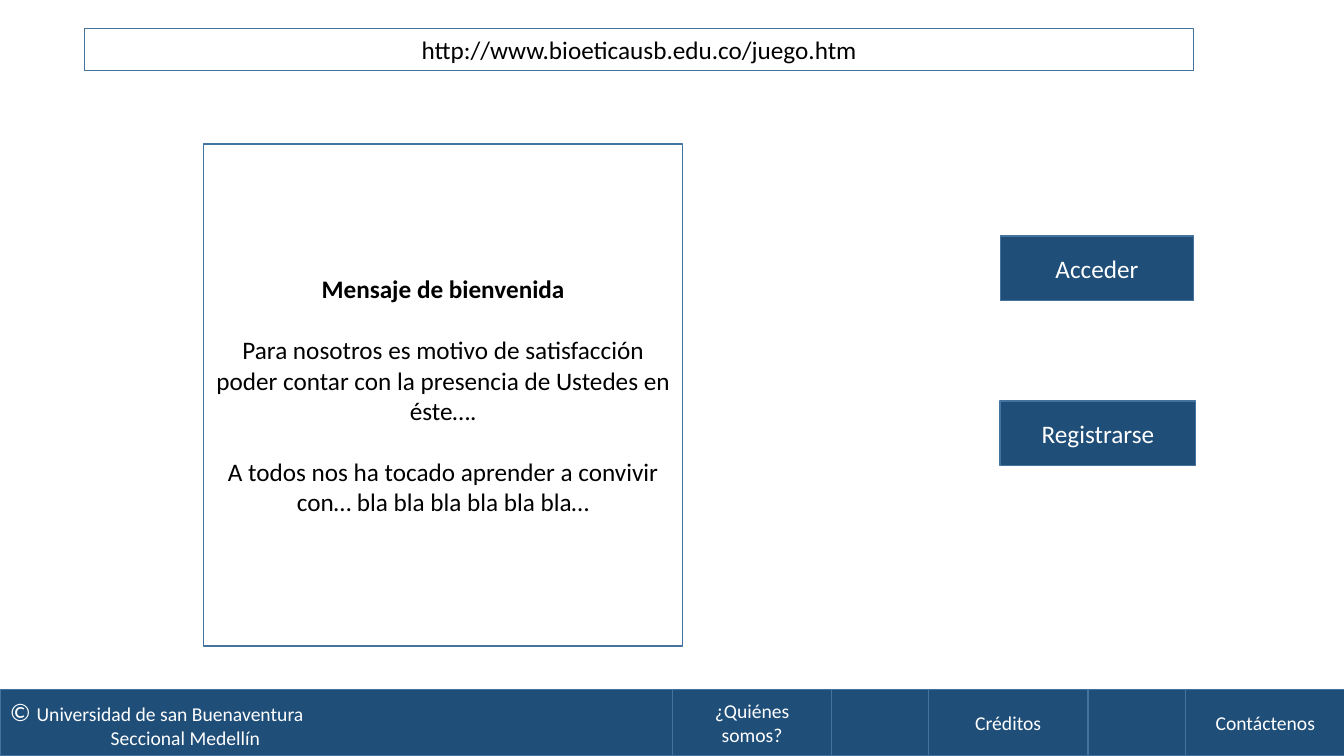
import dataclasses

import pptx
import pptx.dml.color
import pptx.enum.shapes
import pptx.enum.text
import pptx.shapes.autoshape
import pptx.util

Inches = pptx.util.Inches
Pt = pptx.util.Pt
CENTER = pptx.enum.text.PP_ALIGN.CENTER
JUSTIFY = pptx.enum.text.PP_ALIGN.JUSTIFY

WHITE, BLACK, NAVY, EDGE = "FFFFFF", "000000", "1F4E79", "43739E"
FOOTER_TOP, FOOTER_HEIGHT, LINK_WIDTH = 6.84, 0.66, 1.58


@dataclasses.dataclass(frozen=True)
class Run:
    text: str
    size: float = 18
    bold: bool = False


@dataclasses.dataclass(frozen=True)
class Paragraph:
    runs: tuple[Run, ...]
    before: float = 0
    indent: float = 0


@dataclasses.dataclass(frozen=True)
class Box:
    left: float
    top: float
    width: float
    height: float
    paragraphs: tuple[Paragraph, ...]
    fill: str = NAVY
    color: str = WHITE
    align: pptx.enum.text.PP_ALIGN = CENTER


def rgb(value: str) -> pptx.dml.color.RGBColor:
    return pptx.dml.color.RGBColor.from_string(value)


def line(text: str, size: float = 18, bold: bool = False, before: float = 0,
         indent: float = 0) -> Paragraph:
    return Paragraph((Run(text, size, bold),), before, indent)


def footer_link(left: float, text: str) -> Box:
    return Box(left, FOOTER_TOP, LINK_WIDTH, FOOTER_HEIGHT, (line(text, 14),))


def draw_box(shapes, box: Box) -> pptx.shapes.autoshape.Shape:
    sp = shapes.add_shape(
        pptx.enum.shapes.MSO_SHAPE.RECTANGLE,
        Inches(box.left), Inches(box.top), Inches(box.width), Inches(box.height))
    sp.shadow.inherit = False
    sp.fill.solid()
    sp.fill.fore_color.rgb = rgb(box.fill)
    sp.line.color.rgb = rgb(EDGE)
    sp.line.width = Pt(1)
    tf = sp.text_frame
    tf.word_wrap = True
    tf.vertical_anchor = pptx.enum.text.MSO_ANCHOR.MIDDLE
    for i, paragraph in enumerate(box.paragraphs):
        p = tf.add_paragraph() if i else tf.paragraphs[0]
        p.alignment = box.align
        if paragraph.before:
            p.space_before = Pt(paragraph.before)
        if paragraph.indent:
            p._p.get_or_add_pPr().set("marL", str(Inches(paragraph.indent)))
        for run in paragraph.runs:
            r = p.add_run()
            r.text = run.text
            formats = {"name": "Calibri", "size": Pt(run.size), "bold": run.bold}
            for name, value in formats.items():
                setattr(r.font, name, value)
            r.font.color.rgb = rgb(box.color)
    return sp


BODY = (
    Box(0.84, 0.28, 11, 0.42,
        (line("http://www.bioeticausb.edu.co/juego.htm"),), WHITE, BLACK),
    Box(9.92, 2.34, 1.92, 0.64, (line("Acceder"),)),
    Box(9.92, 3.98, 1.94, 0.64, (line("Registrarse"),)),
    Box(2.02, 1.43, 4.75, 4.98, (
        line("Mensaje de bienvenida", bold=True),
        line("Para nosotros es motivo de satisfacción poder contar con la "
             "presencia de Ustedes en éste….", before=22),
        line("A todos nos ha tocado aprender a convivir con… "
             "bla bla bla bla bla bla…", before=22),
    ), WHITE, BLACK),
)

FOOTER = (
    Box(0, FOOTER_TOP, 13.33, FOOTER_HEIGHT, (
        Paragraph((Run("© "), Run("Universidad de san Buenaventura", 14))),
        line("Seccional Medellín", 14, indent=1),
    ), align=JUSTIFY),
    footer_link(6.67, "¿Quiénes somos?"),
    footer_link(9.21, "Créditos"),
    footer_link(11.76, "Contáctenos"),
)


def main() -> None:
    prs = pptx.Presentation()
    prs.slide_width = Inches(13.33)
    prs.slide_height = Inches(7.5)
    s = prs.slides.add_slide(prs.slide_layouts[6])
    for box in BODY:
        draw_box(s.shapes, box)
    footer = s.shapes.add_group_shape()
    for box in FOOTER:
        draw_box(footer.shapes, box)
    prs.save("out.pptx")


if __name__ == "__main__":
    main()
